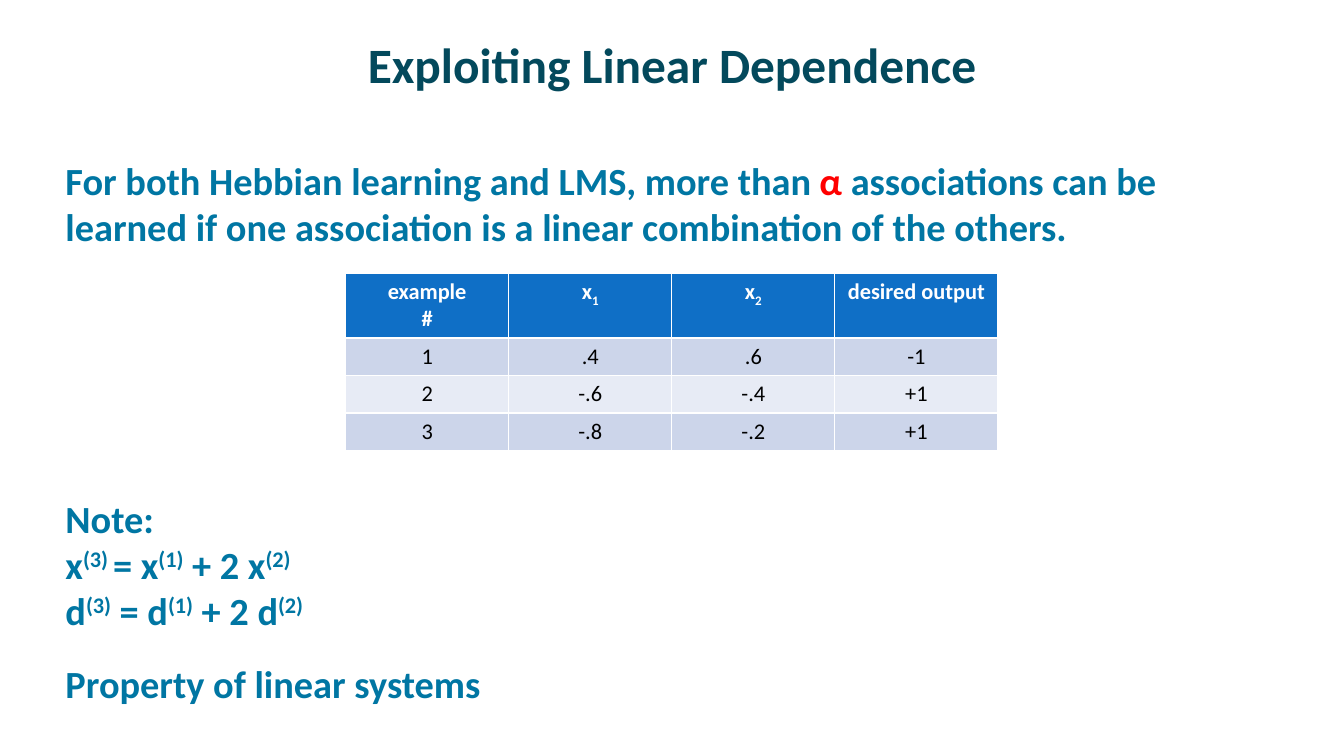
from pptx import Presentation
from pptx.dml.color import RGBColor
from pptx.enum.text import MSO_ANCHOR, MSO_AUTO_SIZE, PP_ALIGN
from pptx.util import Cm, Pt

TITLE_TEAL = RGBColor(0x03, 0x49, 0x5C)
BODY_BLUE = RGBColor(0x00, 0x76, 0xA3)
ALPHA_RED = RGBColor(0xFF, 0x00, 0x00)
HEADER_BLUE = RGBColor(0x0F, 0x6F, 0xC6)
BAND_DARK = RGBColor(0xCC, 0xD5, 0xEA)
BAND_LIGHT = RGBColor(0xE7, 0xEB, 0xF5)
WHITE = RGBColor(0xFF, 0xFF, 0xFF)
BLACK = RGBColor(0x00, 0x00, 0x00)


def style(paragraph, size, color, bold=True):
    font = paragraph.font
    font.name, font.size, font.bold = "Calibri", Pt(size), bold
    font.color.rgb = color


def add_scripted(paragraph, text, baseline):
    """Every second piece between bars is raised or lowered."""
    for i, piece in enumerate(text.split("|")):
        if piece:
            run = paragraph.add_run()
            run.text = piece
            if i % 2:
                run.font._element.set("baseline", str(baseline * 1000))


deck = Presentation()
deck.slide_width, deck.slide_height = Cm(33.87), Cm(19.05)
slide = deck.slides.add_slide(deck.slide_layouts[1])
title, body = slide.placeholders

# Title
title.left, title.top, title.width, title.height = Cm(1.7), Cm(0.43), Cm(30.48), Cm(2.34)
title.text_frame.text = "Exploiting Linear Dependence"
title.text_frame.vertical_anchor = MSO_ANCHOR.MIDDLE
style(title.text_frame.paragraphs[0], 35.3, TITLE_TEAL)

# Body: claim, note with equations, conclusion
body.left, body.top, body.width, body.height = Cm(1.12), Cm(3.81), Cm(31.04), Cm(13.21)
for frame in (title.text_frame, body.text_frame):
    frame.auto_size = MSO_AUTO_SIZE.NONE
    frame.margin_left = frame.margin_right = Cm(0.28)
    frame.margin_top = frame.margin_bottom = Cm(0.15)

claim = body.text_frame.paragraphs[0]
note = body.text_frame.add_paragraph()
conclusion = body.text_frame.add_paragraph()
# The space above the note leaves room for the table
for paragraph, space in ((claim, 19.5), (note, 175.5), (conclusion, 19.5)):
    style(paragraph, 27.4, BODY_BLUE)
    paragraph.space_before = Pt(space)
    properties = paragraph._p.get_or_add_pPr()
    properties.set("marL", str(Cm(0.25)))
    properties.set("indent", "0")
    properties.insert_element_before(
        properties.makeelement(
            "{http://schemas.openxmlformats.org/drawingml/2006/main}buNone", {}),
        "a:tabLst", "a:defRPr", "a:extLst")

for text in ("For both Hebbian learning and LMS, more than ", "α",
             " associations can be learned if one association is a linear "
             "combination of the others."):
    run = claim.add_run()
    run.text = text
    if text == "α":
        run.font.color.rgb = ALPHA_RED

add_scripted(note, "Note:", 30)
for equation in ("x|(3) |= x|(1)| + 2 x|(2)", "d|(3)| = d|(1)| + 2 d|(2)"):
    note.add_line_break()
    add_scripted(note, equation, 30)
conclusion.add_run().text = "Property of linear systems"

# Table of associations
rows = [
    ("example\n#", "x|1", "x|2", "desired output"),
    ("1", ".4", ".6", "-1"),
    ("2", "-.6", "-.4", "+1"),
    ("3", "-.8", "-.2", "+1"),
]
examples = slide.shapes.add_table(4, 4, Cm(8.71), Cm(6.88), Cm(16.44), Cm(4.32)).table
for r, values in enumerate(rows):
    examples.rows[r].height = Cm(0.92 if r else 1.56)
    for c, value in enumerate(values):
        cell = examples.cell(r, c)
        cell.fill.solid()
        cell.fill.fore_color.rgb = (BAND_DARK if r % 2 else BAND_LIGHT) if r else HEADER_BLUE
        paragraph = cell.text_frame.paragraphs[0]
        paragraph.alignment = PP_ALIGN.CENTER
        style(paragraph, 16, BLACK if r else WHITE, bold=r == 0)
        for i, line in enumerate(value.split("\n")):
            if i:
                paragraph.add_line_break()
            add_scripted(paragraph, line, -25)

deck.save("out.pptx")
